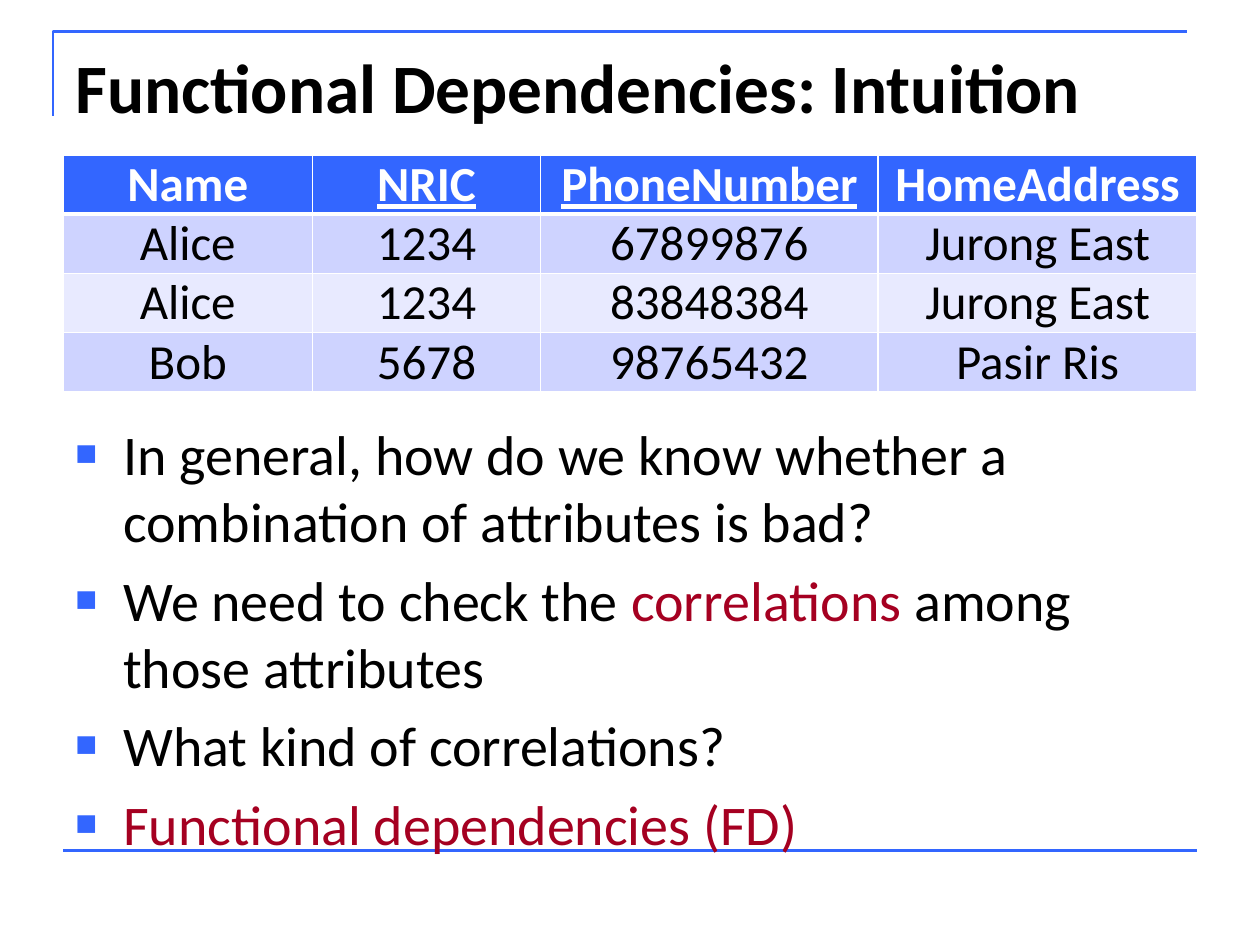
from lxml.etree import SubElement
from pptx import Presentation
from pptx.dml.color import RGBColor
from pptx.enum.shapes import MSO_CONNECTOR
from pptx.enum.text import MSO_ANCHOR, PP_ALIGN
from pptx.oxml.ns import qn
from pptx.util import Inches, Pt

WIDE, HIGH = 10, 7.5
LEFT, SPAN = 0.05 * WIDE, 0.9 * WIDE
FONT = "Calibri"
HUES = {"blue": "3366FF", "red": "A50021", "black": "000000",
        "white": "FFFFFF", "dark": "CED3FF", "light": "E8EAFF"}
COLS = [1.98, 1.81, 2.68, 2.53]
ROW = 0.47
ROWS = [
    ["Name", "NRIC", "PhoneNumber", "HomeAddress"],
    ["Alice", "1234", "67899876", "Jurong East"],
    ["Alice", "1234", "83848384", "Jurong East"],
    ["Bob", "5678", "98765432", "Pasir Ris"],
]
KEYS = {"NRIC", "PhoneNumber"}
POINTS = [
    [("In general, how do we know whether a combination of attributes is bad?", "black")],
    [("We need to check the ", "black"), ("correlations", "red"),
     (" among those attributes", "black")],
    [("What kind of correlations?", "black")],
    [("Functional dependencies (FD)", "red")],
]


def hue(name):
    return RGBColor.from_string(HUES[name])


def style(run, size, color, bold=False):
    font = run.font
    font.name, font.size, font.bold = FONT, Pt(size), bold
    font.color.rgb = hue(color)


def stroke(shape):
    shape.line.color.rgb = hue("blue")
    shape.line.width = Pt(1.5)


def add_frame(slide):
    """Draw the corner outline around the title and the rule at the foot."""
    x, y = 0.42, 0.25
    pen = slide.shapes.build_freeform(Inches(x), Inches(y + 0.67))
    pen.add_line_segments([(Inches(x), Inches(y)), (Inches(x + SPAN), Inches(y))],
                          close=False)
    corner = pen.convert_to_shape()
    corner.shadow.inherit = False
    corner.fill.background()
    stroke(corner)
    foot = Inches(0.9 * HIGH)
    rule = slide.shapes.add_connector(
        MSO_CONNECTOR.STRAIGHT, Inches(LEFT), foot, Inches(LEFT + SPAN), foot)
    stroke(rule)
    SubElement(rule._element.spPr, qn("a:effectLst"))


def add_box(slide, top, height):
    box = slide.shapes.add_textbox(Inches(LEFT), Inches(top), Inches(SPAN), Inches(height))
    frame = box.text_frame
    frame.word_wrap = True
    frame.vertical_anchor = MSO_ANCHOR.TOP
    return frame


def add_title(slide, text):
    frame = add_box(slide, 0.3, 1.25)
    frame.text = text
    style(frame.paragraphs[0].runs[0], 39.6, "black", True)


def add_bullet(para):
    props = para._p.get_or_add_pPr()
    props.set("marL", str(Inches(0.38)))
    props.set("indent", str(-Inches(0.38)))
    SubElement(SubElement(props, qn("a:buClr")), qn("a:srgbClr"), val=HUES["blue"])
    SubElement(props, qn("a:buSzPct"), val="65000")
    SubElement(props, qn("a:buFont"), typeface="Arial")
    SubElement(props, qn("a:buChar"), char="■")


def add_points(slide):
    frame = add_box(slide, 3.28, 3.43)
    for i, parts in enumerate(POINTS):
        para = frame.add_paragraph() if i else frame.paragraphs[0]
        add_bullet(para)
        if i:
            para.space_before = Pt(6.4)
        for text, color in parts:
            run = para.add_run()
            run.text = text
            style(run, 32, color)


def add_edges(cell, head, below):
    """Give a cell white borders, thick where header and body meet."""
    props = cell._tc.get_or_add_tcPr()
    for side in "LRTB":
        thick = (head and side == "B") or (below and side == "T")
        line = SubElement(props, qn(f"a:ln{side}"), w=str(Pt(3 if thick else 1)))
        fill = SubElement(line, qn("a:solidFill"))
        SubElement(fill, qn("a:srgbClr"), val=HUES["white"])


def fill_cell(cell, text, row):
    head = row == 0
    add_edges(cell, head, row == 1)
    cell.fill.solid()
    cell.fill.fore_color.rgb = hue("blue" if head else "dark" if row % 2 else "light")
    cell.margin_left = cell.margin_right = Inches(0.1)
    cell.margin_top = cell.margin_bottom = 0
    cell.text_frame.text = text
    para = cell.text_frame.paragraphs[0]
    para.alignment = PP_ALIGN.CENTER
    run = para.runs[0]
    style(run, 28, "white" if head else "black", head)
    if text in KEYS:
        run.font.underline = True


def add_grid(slide):
    table = slide.shapes.add_table(
        len(ROWS), len(COLS), Inches(LEFT), Inches(1.23),
        Inches(SPAN), Inches(ROW * len(ROWS))).table
    for col, width in zip(table.columns, COLS):
        col.width = Inches(width)
    for r, texts in enumerate(ROWS):
        table.rows[r].height = Inches(ROW)
        for c, text in enumerate(texts):
            fill_cell(table.cell(r, c), text, r)


def main():
    deck = Presentation()
    deck.slide_width, deck.slide_height = Inches(WIDE), Inches(HIGH)
    slide = deck.slides.add_slide(deck.slide_layouts[6])
    add_frame(slide)
    add_title(slide, "Functional Dependencies: Intuition")
    add_points(slide)
    add_grid(slide)
    deck.save("out.pptx")


if __name__ == "__main__":
    main()
